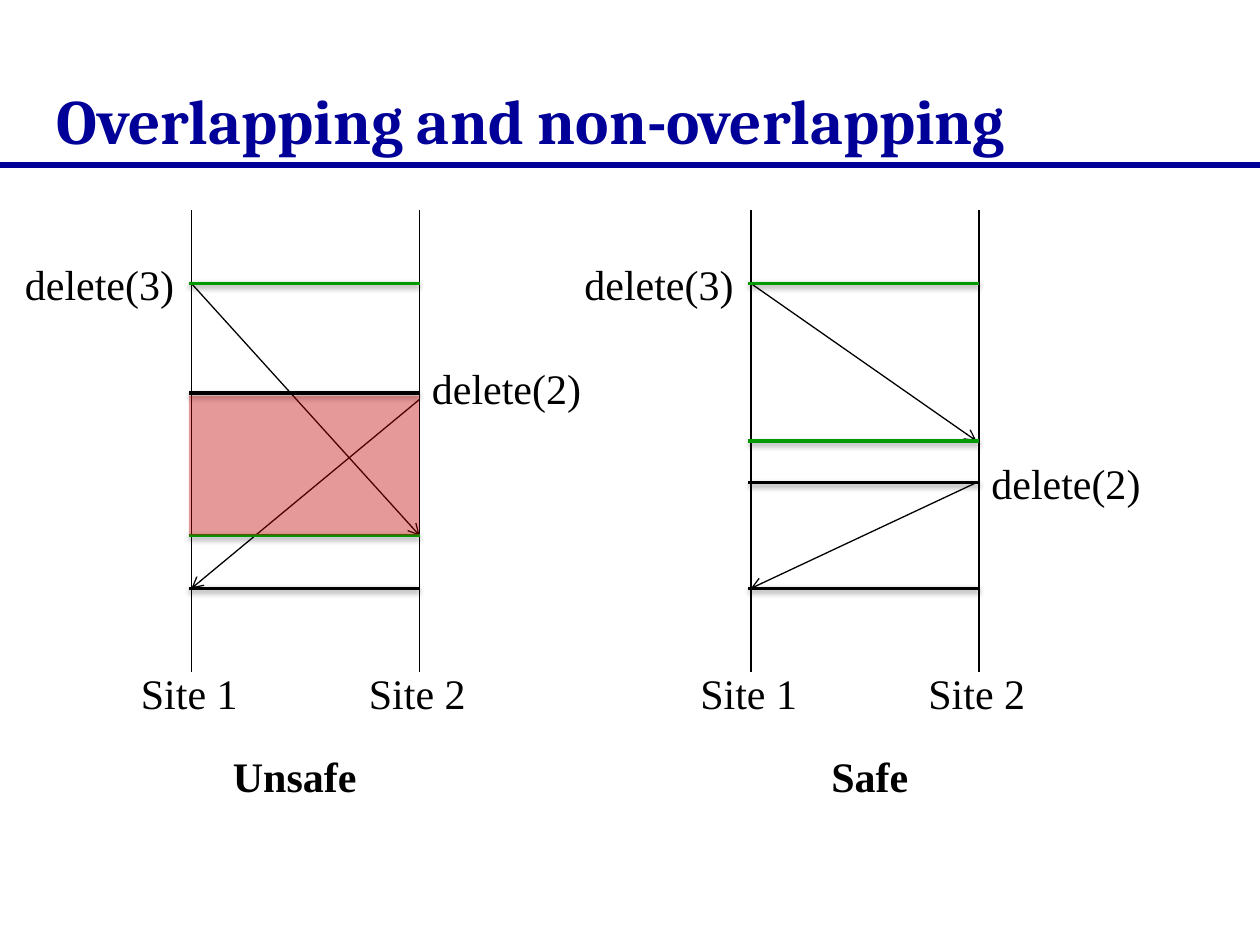
from dataclasses import dataclass

from lxml.etree import SubElement
from pptx import Presentation
from pptx.dml.color import RGBColor
from pptx.enum.shapes import MSO_CONNECTOR as CONN, MSO_SHAPE as SHAPE
from pptx.enum.text import MSO_ANCHOR as ANCHOR, MSO_AUTO_SIZE as AUTO
from pptx.oxml.ns import qn
from pptx.util import Inches, Pt

NAVY, BLACK, GREEN, RED = "000099", "000000", "009900", "C00000"
SITE_GAP = 1.81
OVERHANG = 0.02


@dataclass
class Timing:
    """Moments of one scenario, in inches below the top of its diagram."""
    caption: str
    caption_x: float
    caption_w: float
    received_3: float
    sent_2: float
    arrow_2: float
    label_2: float
    arrow_w: float
    overlap: bool


def rgb(value):
    """Turn a hex string into a colour."""
    return RGBColor.from_string(value)


def add_line(s, x1, y1, x2, y2, color=BLACK, width=0.75, arrow=False, shadow=False):
    """Draw a straight line, optionally with an arrowhead or a soft shadow."""
    line = s.shapes.add_connector(CONN.STRAIGHT, *map(Inches, (x1, y1, x2, y2)))
    line.line.color.rgb = rgb(color)
    line.line.width = Pt(width)
    if arrow:
        SubElement(line.line._get_or_add_ln(), qn("a:tailEnd"), type="arrow")
    effects = SubElement(line._element.spPr, qn("a:effectLst"))
    if shadow:
        outer = SubElement(effects, qn("a:outerShdw"), blurRad="40000", dist="20000",
                           dir="5400000", rotWithShape="0")
        tint = SubElement(outer, qn("a:srgbClr"), val=BLACK)
        SubElement(tint, qn("a:alpha"), val="38000")


def add_text(s, text, x, y, w, h=0.5, size=24, font="Times New Roman",
             color=BLACK, bold=False):
    """Place a one-line label and return its text frame."""
    tf = s.shapes.add_textbox(*map(Inches, (x, y, w, h))).text_frame
    tf.text = text
    tf.word_wrap = False
    tf.auto_size = AUTO.SHAPE_TO_FIT_TEXT
    f = tf.paragraphs[0].runs[0].font
    f.name, f.size, f.bold = font, Pt(size), bold
    f.color.rgb = rgb(color)
    return tf


def add_heading(s, x, y, w, h):
    """Write the slide title above a full-width rule."""
    add_line(s, 0, y + h + 0.01, 10, y + h + 0.01, NAVY, 3)
    tf = add_text(s, "Overlapping and non-overlapping", x, y, w, h, 36,
                  "Cambria", NAVY, True)
    tf.word_wrap = True
    tf.auto_size = AUTO.NONE
    tf.vertical_anchor = ANCHOR.BOTTOM


def add_overlap(s, x, y, w, h):
    """Shade the period in which both operations are in flight."""
    sp = s.shapes.add_shape(SHAPE.RECTANGLE, *map(Inches, (x, y, w, h)))
    sp.shadow.inherit = False
    sp.line.fill.background()
    sp.fill.solid()
    sp.fill.fore_color.rgb = rgb(RED)
    tint = sp._element.spPr.find(qn("a:solidFill"))[0]
    SubElement(tint, qn("a:alpha"), val="40000")


def add_diagram(s, x, y, h, t):
    """Draw two site timelines from (x, y) with the messages between them."""
    right = x + SITE_GAP
    left = x - OVERHANG
    sent_3, received_2 = y + 0.58, y + 3
    received_3, sent_2 = y + t.received_3, y + t.sent_2

    for name, site_x in (("Site 1", x), ("Site 2", right)):
        add_line(s, site_x, y, site_x, y + h)
        add_text(s, name, site_x - 0.5, y + 3.58, 1)

    add_line(s, x, sent_3, x + t.arrow_w, received_3, arrow=True)
    add_line(s, x + t.arrow_w, y + t.arrow_2, x, received_2, arrow=True)
    add_text(s, "delete(3)", x - 1.42, y + 0.33, 1.4)
    add_text(s, "delete(2)", right, y + t.label_2, 1.4)

    for bar_y, color in ((received_3, GREEN), (received_2, BLACK),
                         (sent_3, GREEN), (sent_2, BLACK)):
        add_line(s, left, bar_y, right, bar_y, color, 2, shadow=True)
    if t.overlap:
        top = sent_2 + 0.02
        add_overlap(s, left, top, right - left, received_3 - top)
    add_text(s, t.caption, x + t.caption_x, y + 4.24, t.caption_w, bold=True)


def main():
    """Build the slide and save it."""
    prs = Presentation()
    prs.slide_width, prs.slide_height = Inches(10), Inches(7.5)
    s = prs.slides.add_slide(prs.slide_layouts[6])
    add_heading(s, 0.35, 0.6, 9.21, 0.7)
    unsafe = Timing("Unsafe", 0.23, 1.19, received_3=2.58, sent_2=1.45, arrow_2=1.5,
                    label_2=1.16, arrow_w=SITE_GAP, overlap=True)
    safe = Timing("Safe", 0.54, 0.82, received_3=1.83, sent_2=2.16, arrow_2=2.16,
                  label_2=1.91, arrow_w=SITE_GAP - OVERHANG, overlap=False)
    for x, timing in ((1.52, unsafe), (5.96, safe)):
        add_diagram(s, x, 1.67, 3.66, timing)
    prs.save("out.pptx")


if __name__ == "__main__":
    main()
